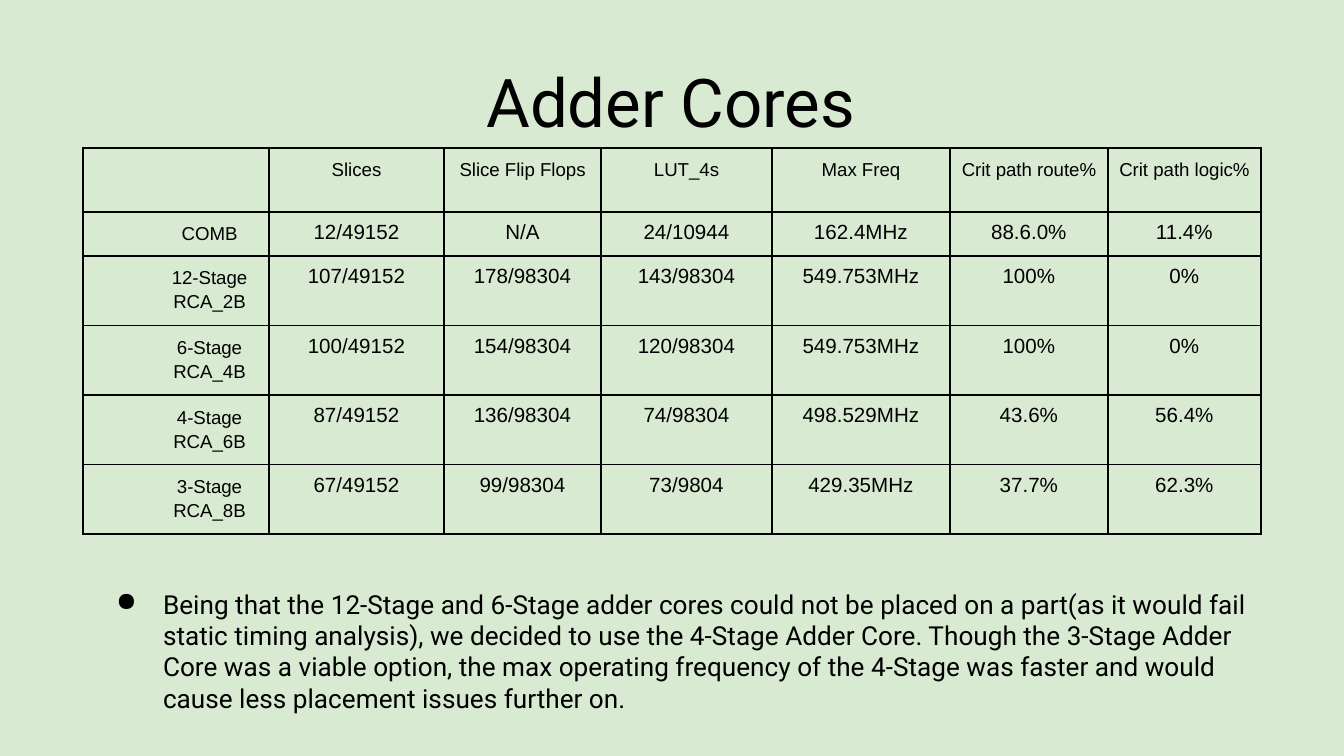
from lxml.etree import SubElement
from pptx import Presentation
from pptx.dml.color import RGBColor
from pptx.enum.text import MSO_ANCHOR, PP_ALIGN
from pptx.oxml.ns import qn
from pptx.util import Pt

THEME = {
    "background": RGBColor.from_string("D9EAD3"),
    "ink": RGBColor.from_string("000000"),
    "display_font": "Roboto",
    "table_font": "Arial",
    "title_size": Pt(36),
    "body_size": Pt(14),
    "value_size": Pt(11),
    "label_size": Pt(10),
    "border": Pt(1),
}
EMU_PER_PX = 914400 / 134.4


def px(length):
    return round(length * EMU_PER_PX)


def write(frame, lines, font_name, size, paragraph_format):
    """Fill a text frame, one paragraph per line, and return the paragraphs."""
    frame.text = "\n".join(lines)
    frame.word_wrap = True
    for paragraph in frame.paragraphs:
        for name, value in paragraph_format.items():
            setattr(paragraph, name, value)
        for run in paragraph.runs:
            for name, value in {"name": font_name, "size": size}.items():
                setattr(run.font, name, value)
            run.font.color.rgb = THEME["ink"]
    return frame.paragraphs


presentation = Presentation()
presentation.slide_width = px(1344)
presentation.slide_height = px(756)
slide = presentation.slides.add_slide(presentation.slide_layouts[6])
slide.background.fill.solid()
slide.background.fill.fore_color.rgb = THEME["background"]

# Title and conclusion
conclusion = (
    "Being that the 12-Stage and 6-Stage adder cores could not be placed on a part"
    "(as it would fail static timing analysis), we decided to use the 4-Stage Adder Core. "
    "Though the 3-Stage Adder Core was a viable option, the max operating frequency of "
    "the 4-Stage was faster and would cause less placement issues further on."
)
text_boxes = [
    ((67, 26, 1208, 149), "Adder Cores", THEME["title_size"], MSO_ANCHOR.MIDDLE, PP_ALIGN.CENTER),
    ((83, 575, 1185, 132), conclusion, THEME["body_size"], MSO_ANCHOR.TOP, PP_ALIGN.LEFT),
]
for box, text, size, anchor, alignment in text_boxes:
    frame = slide.shapes.add_textbox(*map(px, box)).text_frame
    frame.vertical_anchor = anchor
    for side in ("left", "top", "right", "bottom"):
        setattr(frame, f"margin_{side}", px(13))
    paragraphs = write(frame, [text], THEME["display_font"], size, {"alignment": alignment})

# The conclusion is the last box written
properties = paragraphs[0]._p.get_or_add_pPr()
properties.set("marL", str(px(67)))
properties.set("indent", str(px(-47)))
bullet_color = SubElement(properties, qn("a:buClr"))
SubElement(bullet_color, qn("a:srgbClr"), val=str(THEME["ink"]))
SubElement(properties, qn("a:buChar"), char="●")

# Table of adder cores
column_widths = [186, 175, 157, 171, 178, 158, 153]
row_heights = [64, 44, 69, 67, 67, 69]
rows = [
    ["", "Slices", "Slice Flip Flops", "LUT_4s", "Max Freq", "Crit path route%", "Crit path logic%"],
    ["COMB", "12/49152", "N/A", "24/10944", "162.4MHz", "88.6.0%", "11.4%"],
    ["12-Stage RCA_2B", "107/49152", "178/98304", "143/98304", "549.753MHz", "100%", "0%"],
    ["6-Stage\nRCA_4B", "100/49152", "154/98304", "120/98304", "549.753MHz", "100%", "0%"],
    ["4-Stage\nRCA_6B", "87/49152", "136/98304", "74/98304", "498.529MHz", "43.6%", "56.4%"],
    ["3-Stage\nRCA_8B", "67/49152", "99/98304", "73/9804", "429.35MHz", "37.7%", "62.3%"],
]
table = slide.shapes.add_table(
    len(rows), len(column_widths), px(83), px(148), px(sum(column_widths)), px(sum(row_heights))
).table
table.first_row = False
table.horz_banding = False
for column, width in zip(table.columns, column_widths):
    column.width = px(width)
for row, height in zip(table.rows, row_heights):
    row.height = px(height)

for row_index, row in enumerate(rows):
    for column_index, text in enumerate(row):
        cell = table.cell(row_index, column_index)
        for side in ("left", "top", "right", "bottom"):
            setattr(cell, f"margin_{side}", px(9))
        is_label = row_index == 0 or column_index == 0
        paragraphs = write(
            cell.text_frame,
            text.split("\n"),
            THEME["table_font"],
            THEME["label_size"] if is_label else THEME["value_size"],
            {"alignment": PP_ALIGN.CENTER, "line_spacing": 1.15 if is_label else 1.0},
        )
        if row_index > 0 and column_index == 0:
            for paragraph in paragraphs:
                paragraph._p.get_or_add_pPr().set("marL", str(px(67)))

        cell_properties = cell._tc.get_or_add_tcPr()
        for edge in ("a:lnL", "a:lnR", "a:lnT", "a:lnB"):
            line = SubElement(cell_properties, qn(edge), w=str(THEME["border"]))
            line_fill = SubElement(line, qn("a:solidFill"))
            SubElement(line_fill, qn("a:srgbClr"), val=str(THEME["ink"]))
        cell.fill.background()

presentation.save("out.pptx")
